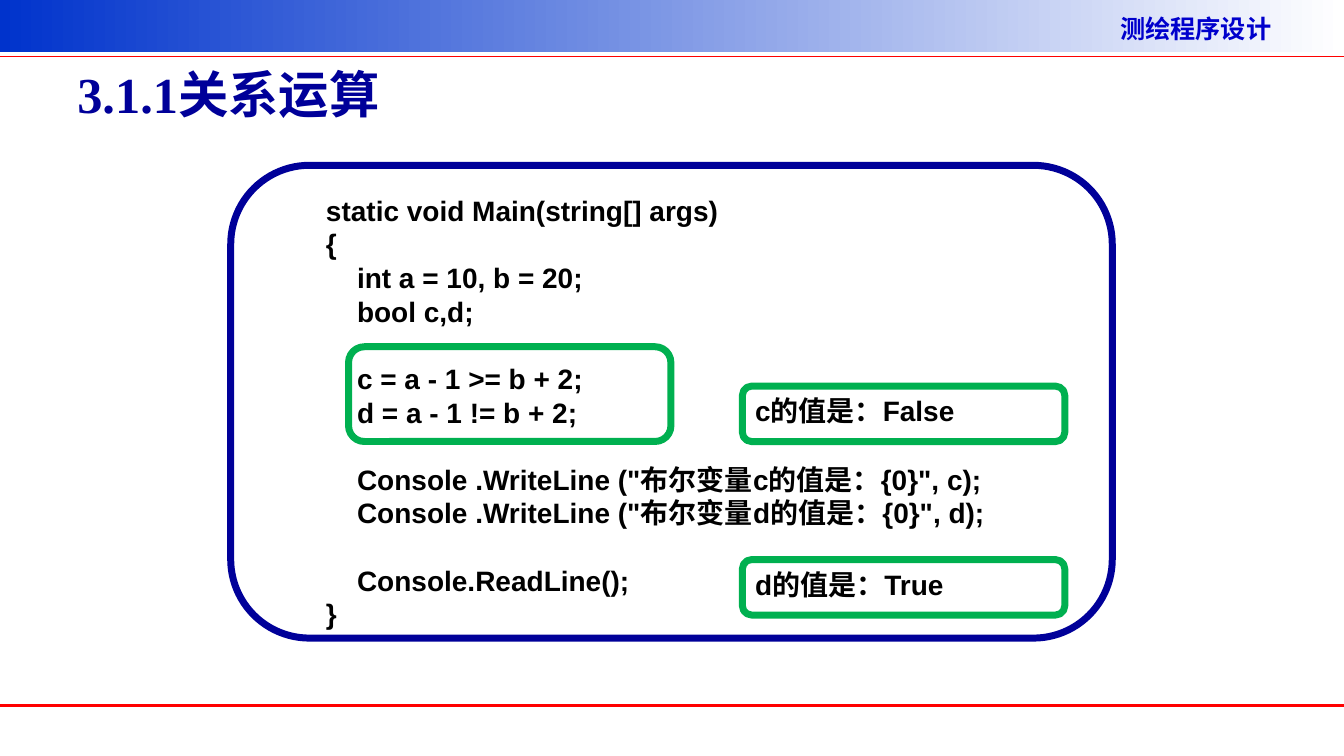
from lxml.etree import SubElement
from pptx import Presentation
from pptx.dml.color import RGBColor
from pptx.enum.shapes import MSO_CONNECTOR, MSO_SHAPE
from pptx.enum.text import MSO_ANCHOR as Anchor, PP_ALIGN as Align
from pptx.oxml.ns import qn
from pptx.util import Pt

NAVY = RGBColor(0x00, 0x00, 0x99)
BLUE = RGBColor(0x00, 0x33, 0xCC)
COURSE_BLUE = RGBColor(0x00, 0x00, 0xCC)
RED = RGBColor(0xFF, 0x00, 0x00)
GREEN = RGBColor(0x00, 0xB0, 0x50)
BLACK = RGBColor(0x00, 0x00, 0x00)
WHITE = RGBColor(0xFF, 0xFF, 0xFF)

CJK_FONT = "Noto Sans CJK SC"
SLIDE_W, SLIDE_H = 960.5, 540
LINE_PITCH = 24
CODE_MARGIN, CODE_INDENT = 44.5, 22.2

# Indent level, blank lines above, text
CODE = [
    (0, 0, "static void Main(string[] args)"),
    (0, 0, "{"),
    (1, 0, "int a = 10, b = 20;"),
    (1, 0, "bool c,d;"),
    (1, 1, "c = a - 1 >= b + 2;"),
    (1, 0, "d = a - 1 != b + 2;"),
    (1, 1, 'Console .WriteLine ("布尔变量c的值是：{0}", c);'),
    (1, 0, 'Console .WriteLine ("布尔变量d的值是：{0}", d);'),
    (1, 1, "Console.ReadLine();"),
    (0, 0, "}"),
]


def write(paragraph, text, size, font, color):
    paragraph.text = text
    paragraph.alignment = Align.LEFT
    for run in paragraph.runs:
        run.font.size = Pt(size)
        run.font.bold = True
        run.font.color.rgb = color
        run.font.name = font
        SubElement(run.font._element, qn("a:ea"), typeface=CJK_FONT)


def add_label(slide, box, text, size, font, color):
    label = slide.shapes.add_textbox(*map(Pt, box))
    label.text_frame.word_wrap = True
    label.text_frame.vertical_anchor = Anchor.MIDDLE
    write(label.text_frame.paragraphs[0], text, size, font, color)


def add_rule(slide, y, width, weight):
    rule = slide.shapes.add_connector(
        MSO_CONNECTOR.STRAIGHT, 0, Pt(y), Pt(width), Pt(y))
    rule.line.color.rgb = RED
    rule.line.width = Pt(weight)
    SubElement(rule._element.spPr, qn("a:effectLst"))


def add_frame(slide, box, color):
    frame = slide.shapes.add_shape(MSO_SHAPE.ROUNDED_RECTANGLE, *map(Pt, box))
    frame.shadow.inherit = False
    frame.fill.background()
    frame.line.color.rgb = color
    frame.line.width = Pt(5)
    frame.text_frame.word_wrap = True
    frame.text_frame.vertical_anchor = Anchor.TOP
    return frame


def add_code_lines(frame, lines):
    body = frame.text_frame
    for number, (level, blanks, text) in enumerate(lines):
        paragraph = body.add_paragraph() if number else body.paragraphs[0]
        write(paragraph, text, 20, "Arial", BLACK)
        paragraph.line_spacing = Pt(LINE_PITCH)
        paragraph.space_before = Pt(blanks * LINE_PITCH)
        margin = CODE_MARGIN + level * CODE_INDENT
        paragraph._p.get_or_add_pPr().set("marL", str(Pt(margin)))


def add_header(slide, box):
    left, top, width, height = box
    # Fading band
    band = slide.shapes.add_shape(MSO_SHAPE.RECTANGLE, *map(Pt, box))
    band.shadow.inherit = False
    band.line.fill.background()
    band.fill.gradient()
    band.fill.gradient_angle = 0
    for stop, color, position in zip(band.fill.gradient_stops, (BLUE, WHITE), (0, 1)):
        stop.color.rgb = color
        stop.position = position
    # Course name and rule
    add_label(slide, (left + width - 167, top + 6, 166, 29),
              "测绘程序设计", 18, CJK_FONT, COURSE_BLUE)
    add_rule(slide, top + height + 3, width, 1)


def add_program(slide, box):
    left, top, width, height = box
    program = add_frame(slide, box, NAVY)
    add_code_lines(program, CODE)
    # Highlighted comparisons
    add_frame(slide, (left + 84.2, top + 129.6, 230.4, 67.7), GREEN)
    # Resulting values
    for offset, result in ((157.7, "c的值是：False"), (281.6, "d的值是：True")):
        value = add_frame(
            slide, (left + 365.7, top + offset, 230.4, 39.6), GREEN)
        paragraph = value.text_frame.paragraphs[0]
        write(paragraph, result, 20, "Arial", BLACK)
        paragraph.line_spacing = Pt(LINE_PITCH)


def main():
    deck = Presentation()
    deck.slide_width, deck.slide_height = Pt(SLIDE_W), Pt(SLIDE_H)
    slide = deck.slides.add_slide(deck.slide_layouts[6])
    add_header(slide, (0, 0, SLIDE_W, 37.4))
    add_rule(slide, 504, SLIDE_W, 2.25)
    add_label(slide, (48.2, 21.6, 864, 90), "3.1.1关系运算", 36,
              "Times New Roman", NAVY)
    add_program(slide, (164.9, 118.1, 630, 337.7))
    deck.save("out.pptx")


if __name__ == "__main__":
    main()
